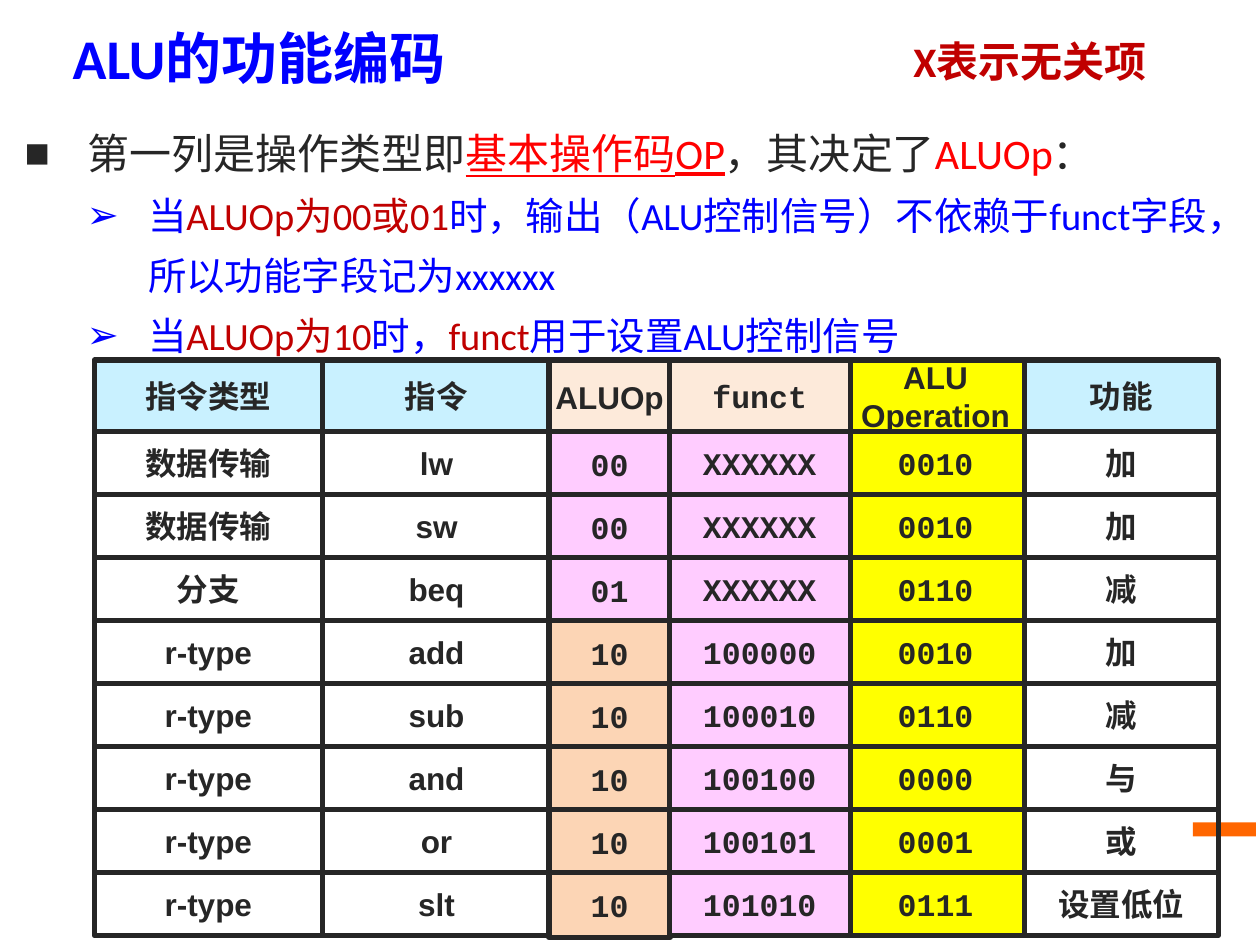
from lxml.etree import SubElement
from pptx import Presentation
from pptx.dml.color import RGBColor
from pptx.enum.shapes import MSO_SHAPE
from pptx.enum.text import MSO_ANCHOR, MSO_AUTO_SIZE, PP_ALIGN
from pptx.oxml.ns import qn
from pptx.util import Cm, Pt

THEME = {
    "ink": "262626", "blue": "0000FF", "red": "FF0000", "dark": "C00000",
    "accent": "FF6600", "sky": "C9F1FF", "cream": "FDEADA",
    "pink": "FFCCFF", "peach": "FCD5B5", "yellow": "FFFF00",
    "text": "Calibri", "sans": "Arial", "mono": "Courier New",
    "title": 32, "lead": 24, "sub": 22, "cell": 18, "line": 3,
}

TITLE = "ALU的功能编码"
NOTE = "X表示无关项"

# level, bullet, runs of (text, colour, underline)
POINTS = [
    (0, "■", [("第一列是操作类型即", "ink", False), ("基本操作码OP", "red", True),
              ("，其决定了", "ink", False), ("ALUOp", "red", False),
              ("：", "ink", False)]),
    (1, "➢", [("当", "blue", False), ("ALUOp为00或01", "dark", False),
              ("时，输出（ALU控制信号）不依赖于funct字段，所以功能字段记为xxxxxx",
               "blue", False)]),
    (1, "➢", [("当", "blue", False), ("ALUOp为10", "dark", False),
              ("时，", "blue", False), ("funct", "dark", False),
              ("用于设置ALU控制信号", "blue", False)]),
]
LEVELS = [("lead", 1.27, -1.27), ("sub", 2.49, -1.24)]  # size, margin, indent

# Columns from back to front, as neighbours overlap a little:
# left, width, extra height, head fill, head font, body fill, body font, texts
COLS = [
    (6.5, 4.6, 0, "sky", "sans", None, "sans",
     ["指令", "lw", "sw", "beq", "add", "sub", "and", "or", "slt"]),
    (17.07, 3.58, 0, "yellow", "sans", "yellow", "mono",
     ["ALU\nOperation", "0010", "0010", "0110", "0010", "0110", "0000",
      "0001", "0111"]),
    (1.9, 4.6, 0, "sky", "sans", None, "sans",
     ["指令类型", "数据传输", "数据传输", "分支"] + ["r-type"] * 5),
    (20.65, 3.91, 0, "sky", "sans", None, "sans",
     ["功能", "加", "加", "减", "加", "减", "与", "或", "设置低位"]),
    (11.07, 2.44, 0.04, "cream", "sans", "pink", "mono",
     ["ALUOp", "00", "00", "01"] + ["10"] * 5),
    (13.49, 3.65, 0, "cream", "mono", "pink", "mono",
     ["funct", "XXXXXX", "XXXXXX", "XXXXXX", "100000", "100010", "100100",
      "100101", "101010"]),
]
TOP, HEAD_H, ROW_H = 7.26, 1.44, 1.27


def paint(name):
    return RGBColor.from_string(THEME[name])


def style(run, size, color, face="text", bold=False):
    font = run.font
    font.size, font.name, font.bold = Pt(THEME[size]), THEME[face], bold
    font.color.rgb = paint(color)


def place(shape, left, top, width, height):
    shape.left, shape.top = Cm(left), Cm(top)
    shape.width, shape.height = Cm(width), Cm(height)


def label(frame, text, size, color, align, face="text", wrap=True):
    """Fill a frame with bold text, centred vertically."""
    frame.text = text
    frame.word_wrap, frame.auto_size = wrap, MSO_AUTO_SIZE.NONE
    frame.vertical_anchor = MSO_ANCHOR.MIDDLE
    for para in frame.paragraphs:
        para.alignment = align
        style(para.runs[0], size, color, face, True)


def add_box(shapes, left, top, width, height, color=None):
    box = shapes.add_shape(MSO_SHAPE.RECTANGLE, Cm(left), Cm(top),
                           Cm(width), Cm(height))
    box.shadow.inherit = False
    if color:
        box.fill.solid()
        box.fill.fore_color.rgb = paint(color)
    else:
        box.fill.background()
    return box


def bullet(para, mark, margin, indent):
    props = para._p.get_or_add_pPr()
    props.set("marL", str(Cm(margin)))
    props.set("indent", str(Cm(indent)))
    SubElement(props, qn("a:buFont"), typeface=THEME["sans"])
    SubElement(props, qn("a:buChar"), char=mark)


def add_points(body):
    frame = body.text_frame
    frame.word_wrap, frame.auto_size = True, MSO_AUTO_SIZE.NONE
    for i, (level, mark, parts) in enumerate(POINTS):
        para = frame.add_paragraph() if i else frame.paragraphs[0]
        size, margin, indent = LEVELS[level]
        para.level, para.line_spacing = level, 1.3
        para.space_before = para.space_after = Pt(0)
        bullet(para, mark, margin, indent)
        for text, color, under in parts:
            run = para.add_run()
            run.text = text
            style(run, size, color)
            run.font.underline = under


def add_codes(shapes):
    """Draw the code grid column by column."""
    for left, width, extra, top_fill, top_face, fill, face, texts in COLS:
        for r, text in enumerate(texts):
            if r:
                top, height = TOP + HEAD_H + (r - 1) * ROW_H, ROW_H
                color, font = "peach" if text == "10" else fill, face
            else:
                top, height, color, font = TOP, HEAD_H, top_fill, top_face
            box = add_box(shapes, left, top, width, height + extra, color)
            box.line.color.rgb = paint("ink")
            box.line.width = Pt(THEME["line"])
            label(box.text_frame, text, "cell", "ink", PP_ALIGN.CENTER,
                  font, False)


def main():
    deck = Presentation()
    deck.slide_width, deck.slide_height = Cm(25.4), Cm(19.05)
    slide = deck.slides.add_slide(deck.slide_layouts[1])
    shapes = slide.shapes

    title, body = shapes.title, slide.placeholders[1]
    place(title, 1.21, 0.21, 23.09, 1.9)
    label(title.text_frame, TITLE, "title", "blue", PP_ALIGN.LEFT)
    place(body, 0.24, 2.14, 24.97, 5.28)
    add_points(body)

    bar = add_box(shapes, 24.05, 16.58, 1.27, 0.28, "accent")
    bar.line.fill.background()

    note = shapes.add_textbox(Cm(18.03), Cm(0.53), Cm(5.46), Cm(1.4))
    label(note.text_frame, NOTE, "lead", "dark", PP_ALIGN.CENTER)
    add_codes(shapes)
    deck.save("out.pptx")


if __name__ == "__main__":
    main()
